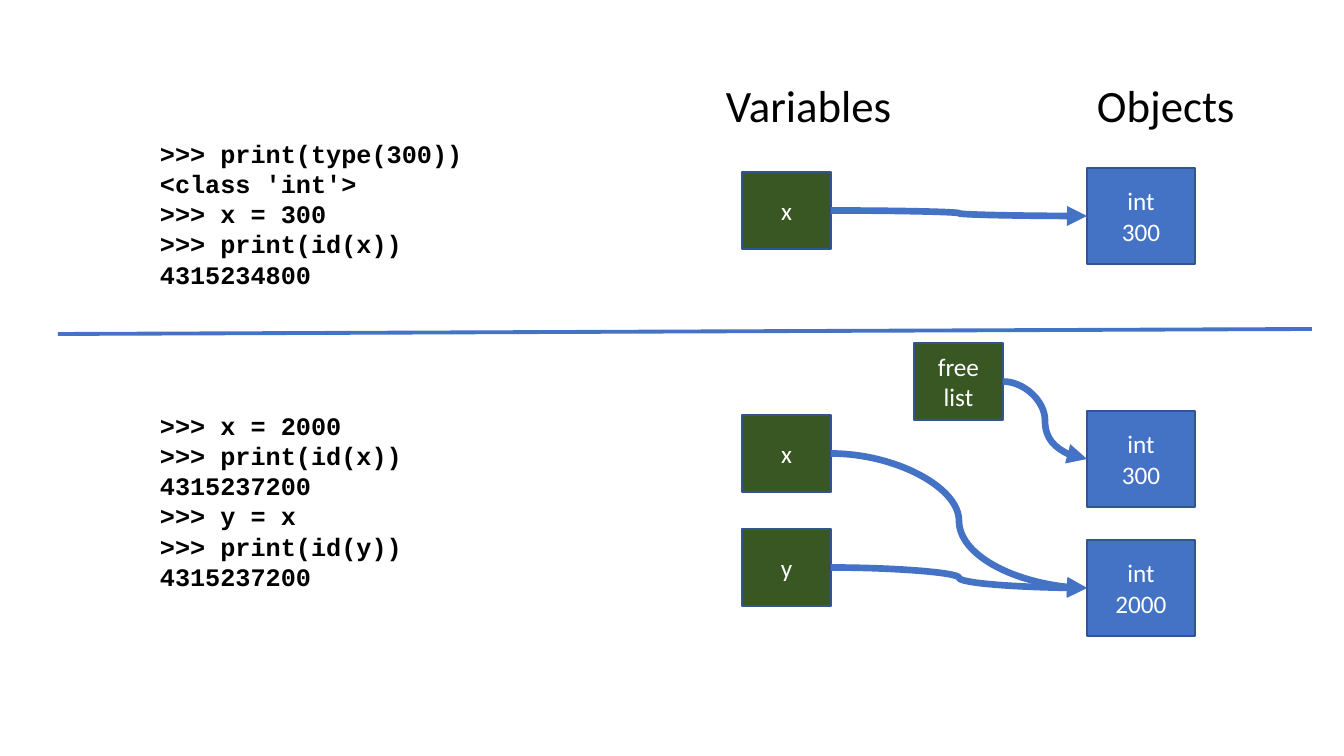
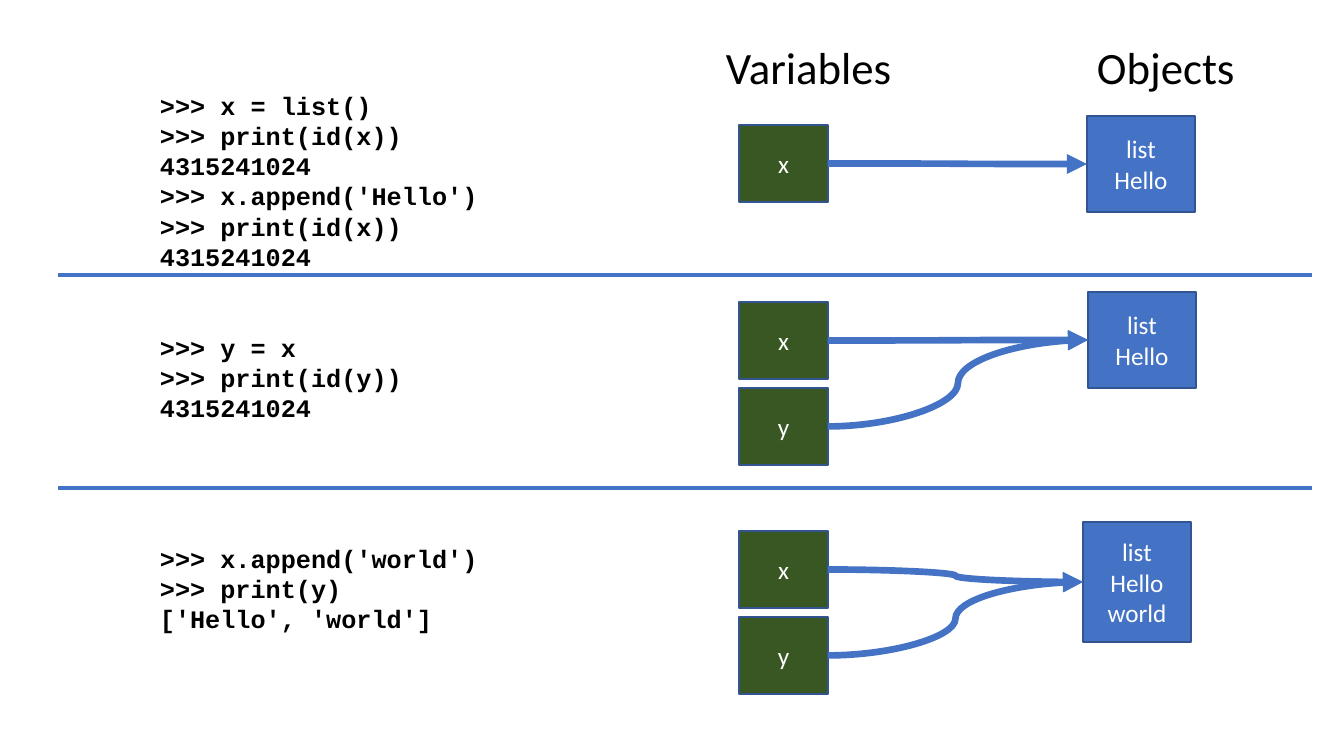
from dataclasses import dataclass

from lxml import etree
from pptx import Presentation
from pptx.dml.color import RGBColor
from pptx.enum.shapes import MSO_CONNECTOR as Link, MSO_SHAPE as Preset
from pptx.enum.text import MSO_ANCHOR as Anchor, PP_ALIGN as Align
from pptx.oxml.ns import qn
from pptx.util import Pt


@dataclass(frozen=True)
class Theme:
    """Colours, fonts and type sizes shared by the slides."""
    ink: str = "000000"
    paper: str = "FFFFFF"
    variable: str = "385723"
    item: str = "4472C4"
    outline: str = "325491"
    text_font: str = "Calibri"
    code_font: str = "Courier New"
    heading_size: int = 32
    body_size: int = 18
    code_pitch: float = 21.6
    outline_width: int = 1
    divider_width: float = 2.75
    arrow_width: float = 4.75


@dataclass(frozen=True)
class Node:
    """A labelled square, placed relative to its section."""
    lines: tuple
    left: int
    top: int
    width: int
    height: int
    fill: str


@dataclass(frozen=True)
class Section:
    """One step: its code, its squares and the arrows between them."""
    top: int
    code_top: int
    code: tuple
    nodes: dict
    links: tuple
    rise: int = 0


THEME = Theme()
SLIDE_WIDTH, SLIDE_HEIGHT = 1344, 756
SCALE = 12192000 / SLIDE_WIDTH
SECTION_LEFT, SECTION_WIDTH = 58, 1254
CODE_LEFT, CODE_WIDTH, CODE_LINE = 92, 367, 30
HEADINGS = (("Variables", 658, 187), ("Objects", 1029, 159))
HEADING_HEIGHT = 65
RIGHT_SITE, LEFT_SITE = 3, 1


def px(*lengths):
    """Turn px lengths into EMU."""
    return [round(length * SCALE) for length in lengths]


def variable(left, top, *lines):
    """Describe a variable square."""
    return Node(lines, left, top, 89, 77, THEME.variable)


def item(left, top, *lines, height=96):
    """Describe an object square."""
    return Node(lines, left, top, 108, height, THEME.item)


def write(frame, lines, size, color, font, bold=False, align=Align.LEFT, pitch=None):
    """Fill a text frame with one paragraph for each line."""
    for index, line in enumerate(lines):
        paragraph = frame.paragraphs[0] if index == 0 else frame.add_paragraph()
        paragraph.alignment = align
        if pitch:
            paragraph.line_spacing = Pt(pitch)
        run = paragraph.add_run()
        run.text = line
        run.font.size = Pt(size)
        run.font.name = font
        run.font.bold = bold
        run.font.color.rgb = RGBColor.from_string(color)


def style_line(connector, width, arrow=False):
    """Colour a connector, drop its shadow and add an arrowhead on demand."""
    connector.line.color.rgb = RGBColor.from_string(THEME.item)
    connector.line.width = Pt(width)
    if arrow:
        outline = connector.line._get_or_add_ln()
        etree.SubElement(outline, qn("a:tailEnd"), type="triangle")
    etree.SubElement(connector._element.spPr, qn("a:effectLst"))


def add_headings(slide, left, top):
    """Place the two column headings."""
    for label, offset, width in HEADINGS:
        heading = slide.shapes.add_textbox(*px(left + offset, top, width, HEADING_HEIGHT))
        heading.text_frame.word_wrap = False
        write(heading.text_frame, [label], THEME.heading_size, THEME.ink, THEME.text_font)


def add_divider(slide, left, top, width, rise):
    """Draw the rule above a section."""
    rule = slide.shapes.add_connector(Link.STRAIGHT, *px(left, top, left + width, top - rise))
    style_line(rule, THEME.divider_width)


def add_code(slide, left, top, lines):
    """Place a console listing."""
    height = len(lines) * CODE_LINE + 10
    listing = slide.shapes.add_textbox(*px(left, top, CODE_WIDTH, height))
    listing.text_frame.word_wrap = True
    write(listing.text_frame, lines, THEME.body_size, THEME.ink, THEME.code_font,
          bold=True, pitch=THEME.code_pitch)


def add_node(slide, left, top, node):
    """Draw a labelled square."""
    square = slide.shapes.add_shape(
        Preset.RECTANGLE, *px(left + node.left, top + node.top, node.width, node.height))
    square.shadow.inherit = False
    square.fill.solid()
    square.fill.fore_color.rgb = RGBColor.from_string(node.fill)
    square.line.color.rgb = RGBColor.from_string(THEME.outline)
    square.line.width = Pt(THEME.outline_width)
    square.text_frame.word_wrap = True
    square.text_frame.vertical_anchor = Anchor.MIDDLE
    write(square.text_frame, node.lines, THEME.body_size, THEME.paper, THEME.text_font,
          align=Align.CENTER)
    return square


def add_arrow(slide, source, target):
    """Join two squares with a curved arrow."""
    arrow = slide.shapes.add_connector(Link.CURVE, 0, 0, 0, 0)
    arrow.begin_connect(source, RIGHT_SITE)
    arrow.end_connect(target, LEFT_SITE)
    style_line(arrow, THEME.arrow_width, arrow=True)


def add_section(slide, section, left, width):
    """Place one section's code and diagram in its box."""
    add_code(slide, left + CODE_LEFT, section.top + section.code_top, section.code)
    squares = {key: add_node(slide, left, section.top, node)
               for key, node in section.nodes.items()}
    for source, target in section.links:
        add_arrow(slide, squares[source], squares[target])


def add_memory_slide(deck, sections):
    """Build a slide of sections parted by rules."""
    slide = deck.slides.add_slide(deck.slide_layouts[6])
    add_headings(slide, SECTION_LEFT, sections[0].top)
    for index, section in enumerate(sections):
        if index:
            add_divider(slide, SECTION_LEFT, section.top, SECTION_WIDTH, section.rise)
        add_section(slide, section, SECTION_LEFT, SECTION_WIDTH)


INT_SECTIONS = (
    Section(73, 60,
            (">>> print(type(300))", "<class 'int'>", ">>> x = 300",
             ">>> print(id(x))", "4315234800"),
            {"x": variable(684, 99, "x"), "300": item(1029, 95, "int", "300")},
            (("x", "300"),)),
    Section(334, 71,
            (">>> x = 2000", ">>> print(id(x))", "4315237200",
             ">>> y = x", ">>> print(id(y))", "4315237200"),
            {"x": variable(684, 81, "x"), "y": variable(684, 195, "y"),
             "free": variable(856, 9, "free", "list"),
             "300": item(1029, 77, "int", "300"),
             "2000": item(1029, 206, "int", "2000")},
            (("x", "2000"), ("y", "2000"), ("free", "300")), rise=5),
)

LIST_SECTIONS = (
    Section(35, 50,
            (">>> x = list()", ">>> print(id(x))", "4315241024",
             ">>> x.append('Hello')", ">>> print(id(x))", "4315241024"),
            {"x": variable(681, 90, "x"), "list": item(1029, 81, "list", "Hello")},
            (("x", "list"),)),
    Section(275, 52,
            (">>> y = x", ">>> print(id(y))", "4315241024"),
            {"x": variable(681, 27, "x"), "y": variable(681, 113, "y"),
             "list": item(1030, 17, "list", "Hello")},
            (("x", "list"), ("y", "list"))),
    Section(488, 50,
            (">>> x.append('world')", ">>> print(y)", "['Hello', 'world']"),
            {"x": variable(681, 43, "x"), "y": variable(681, 129, "y"),
             "list": item(1025, 34, "list", "Hello", "world", height=120)},
            (("x", "list"), ("y", "list"))),
)


def main():
    """Build and save the deck."""
    deck = Presentation()
    deck.slide_width, deck.slide_height = px(SLIDE_WIDTH, SLIDE_HEIGHT)
    for sections in (INT_SECTIONS, LIST_SECTIONS):
        add_memory_slide(deck, sections)
    deck.save("out.pptx")


if __name__ == "__main__":
    main()
